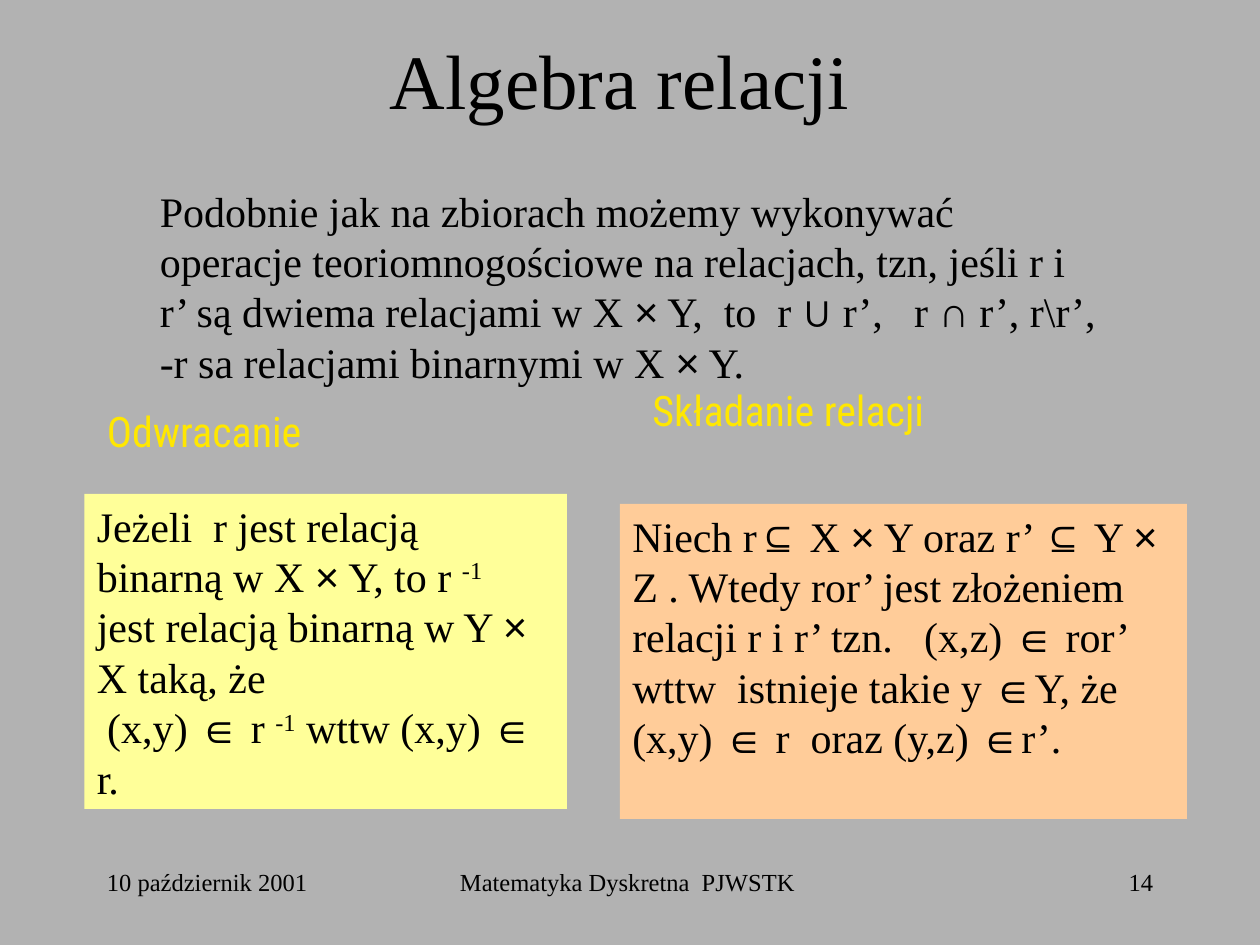
"""Build the slide on the algebra of relations."""
from itertools import groupby

from pptx import Presentation
from pptx.dml.color import RGBColor
from pptx.enum.shapes import MSO_SHAPE
from pptx.enum.text import MSO_ANCHOR, PP_ALIGN
from pptx.util import Inches, Pt

LEFT, CENTER, RIGHT = PP_ALIGN.LEFT, PP_ALIGN.CENTER, PP_ALIGN.RIGHT
TOP, MIDDLE = MSO_ANCHOR.TOP, MSO_ANCHOR.MIDDLE
RECT = MSO_SHAPE.RECTANGLE

GRAY = RGBColor(0xB2, 0xB2, 0xB2)
BLACK = RGBColor(0, 0, 0)
GOLD = RGBColor(0xFF, 0xE7, 0x01)
YELLOW = RGBColor(0xFF, 0xFF, 0x99)
PEACH = RGBColor(0xFF, 0xCC, 0x99)

SERIF, SANS, NARROW = "Times New Roman", "Arial", "Roboto Condensed"
KINDS = {"\n": "break", "⁻": "power", "¹": "power"} | dict.fromkeys("×∪∩∈⊆", "math")


def write(shape, text, size=24, align=LEFT, font=SERIF, color=BLACK, anchor=TOP, wrap=True):
    frame = shape.text_frame
    frame.word_wrap = wrap
    frame.vertical_anchor = anchor
    para = frame.paragraphs[0]
    para.alignment = align
    para.font.size = Pt(size)
    para.font.name = font
    para.font.color.rgb = color
    for kind, chars in groupby(text, lambda char: KINDS.get(char, "plain")):
        if kind == "break":
            para.add_line_break()
            continue
        run = para.add_run()
        run.text = "".join(chars)
        run.font.size = Pt(size)
        run.font.name = SANS if kind == "math" else font
        run.font.color.rgb = color
        if kind == "power":
            run.text = "-1"
            run.font._element.set("baseline", "30000")


deck = Presentation()
deck.slide_width, deck.slide_height = Inches(10), Inches(7.5)
slide = deck.slides.add_slide(deck.slide_layouts[6])
slide.background.fill.solid()
slide.background.fill.fore_color.rgb = GRAY

INTRO = (
    "Podobnie jak na zbiorach możemy wykonywać operacje teoriomnogościowe "
    "na relacjach, tzn, jeśli r i r’ są dwiema relacjami w X × Y,  to  r ∪ r’,   "
    "r ∩ r’, r\\r’, -r sa relacjami binarnymi w X × Y."
)
INVERSE = (
    "Jeżeli  r jest relacją binarną w X × Y, to r ⁻¹  jest relacją "
    "binarną w Y × X taką, że\n (x,y) ∈ r ⁻¹ wttw (x,y) ∈ r."
)
COMPOSE = (
    "Niech r⊆ X × Y oraz r’ ⊆ Y × Z . Wtedy ror’ jest złożeniem relacji "
    "r i r’ tzn.   (x,z) ∈ ror’ wttw  istnieje takie y ∈Y, że\n"
    "(x,y) ∈ r  oraz (y,z) ∈r’."
)

LABEL = {"font": NARROW, "color": GOLD, "wrap": False}
TEXTS = [
    ((0.67, 0, 8.5, 1.25), "Algebra relacji", {"size": 44, "align": CENTER, "anchor": MIDDLE}),
    ((1.17, 1.42, 7.67, 1.7), INTRO, {}),
    ((5.08, 3, 3.73, 0.58), "Składanie relacji", LABEL),
    ((0.75, 3.17, 2.44, 0.5), "Odwracanie", LABEL),
    ((3.42, 6.83, 3.17, 0.5), "Matematyka Dyskretna  PJWSTK ", {"size": 14, "align": CENTER}),
    ((7.17, 6.83, 2.08, 0.5), "14", {"size": 14, "align": RIGHT}),
    ((0.75, 6.83, 2.08, 0.5), "10 październik 2001", {"size": 14}),
]
for place, text, style in TEXTS:
    write(slide.shapes.add_textbox(*map(Inches, place)), text, **style)

PANELS = [
    ((0.67, 3.92, 3.83, 2.5), INVERSE, YELLOW),
    ((4.92, 4, 4.5, 2.5), COMPOSE, PEACH),
]
for place, text, fill in PANELS:
    panel = slide.shapes.add_shape(RECT, *map(Inches, place))
    panel.shadow.inherit = False
    panel.fill.solid()
    panel.fill.fore_color.rgb = fill
    panel.line.fill.background()
    write(panel, text)

deck.save("out.pptx")
